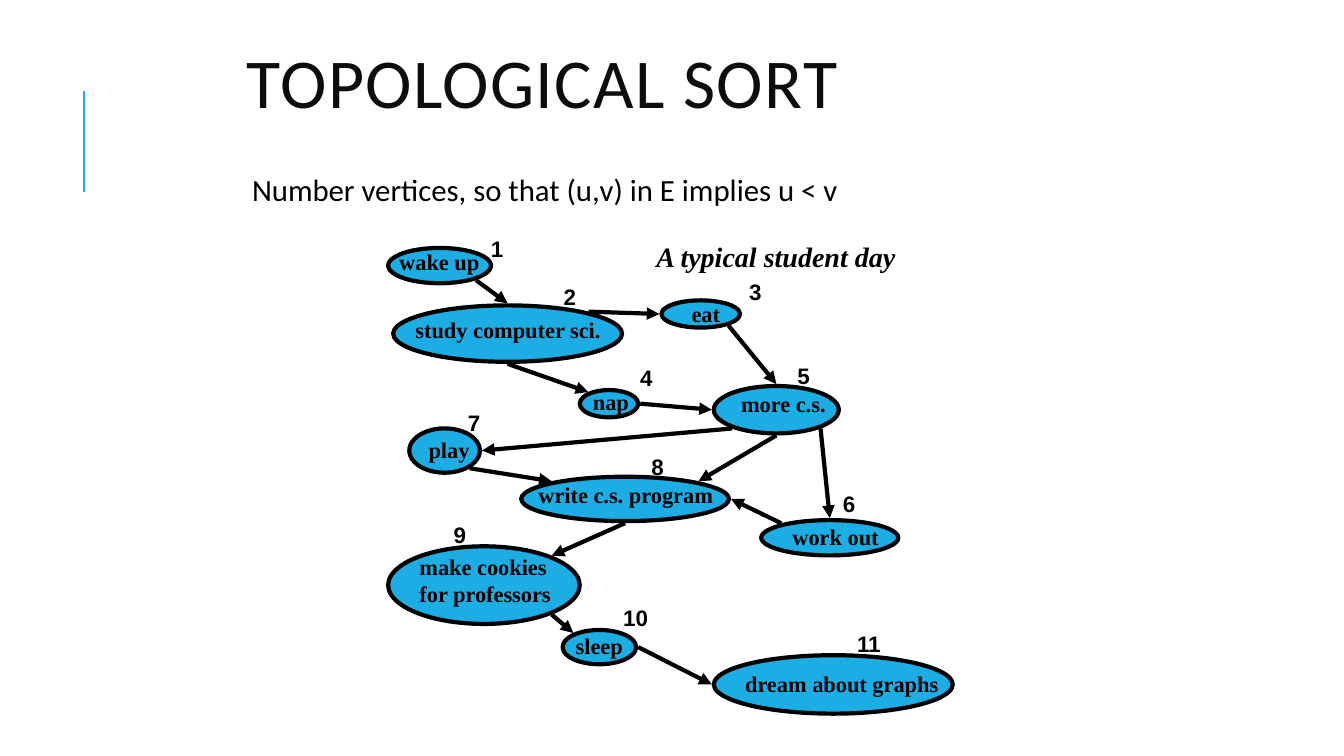
from math import sqrt

from lxml import etree
from pptx import Presentation
from pptx import util as u
from pptx.dml.color import RGBColor
from pptx.enum import shapes, text
from pptx.oxml.ns import qn

PX = 9144  # EMU per px, 100 px to the inch
COLORS = {"accent": "1CADE4", "ink": "000000", "title": "0D0D0D"}
SERIF, SANS, BODY = "Times New Roman", "Arial", "Calibri"
LINE_HEIGHT = 27
DIGIT_WIDTH = 14
ARROW_GAP = 2

# In topological order: label, oval box, label box, place of the number
ACTIVITIES = [
    ("wake up", (0, 13, 102, 35), (11, 13, 84, LINE_HEIGHT), (102, 0)),
    ("study computer sci.", (5, 70, 227, 56), (27, 81, 189, LINE_HEIGHT), (174, 48)),
    ("eat", (271, 65, 78, 27), (301, 65, 34, LINE_HEIGHT), (358, 43)),
    ("nap", (190, 154, 58, 27), (203, 152, 68, LINE_HEIGHT), (250, 128)),
    ("more c.s.", (323, 150, 124, 47), (350, 154, 89, LINE_HEIGHT), (406, 126)),
    ("work out", (370, 283, 136, 35), (401, 286, 90, LINE_HEIGHT), (451, 253)),
    ("play", (21, 192, 70, 44), (40, 200, 45, LINE_HEIGHT), (79, 173)),
    ("write c.s. program", (132, 240, 206, 44), (149, 244, 178, LINE_HEIGHT), (261, 217)),
    ("make cookies for professors", (0, 309, 190, 77), (31, 316, 152, 2 * LINE_HEIGHT), (65, 284)),
    ("sleep", (173, 392, 73, 34), (186, 394, 52, LINE_HEIGHT), (233, 366)),
    ("dream about graphs", (323, 417, 237, 58), (354, 432, 197, LINE_HEIGHT), (465, 392)),
]
# From activity and side, to activity and side
EDGES = [
    (1, "se", 2, "n"), (2, "ne", 3, "w"), (2, "s", 4, "nw"), (3, "se", 5, "n"),
    (4, "e", 5, "w"), (5, "s", 8, "ne"), (5, "sw", 7, "e"), (5, "se", 6, "n"),
    (6, "nw", 8, "e"), (7, "se", 8, "nw"), (8, "s", 9, "ne"), (9, "se", 10, "nw"),
    (10, "e", 11, "w"),
]


def px(*lengths):
    return [u.Emu(round(length * PX)) for length in lengths]


def color(name):
    return RGBColor.from_string(COLORS[name])


def shift(box, origin):
    return (box[0] + origin[0], box[1] + origin[1], *box[2:])


def add_text(slide, box, words, font, size, ink="ink", bold=False, italic=False,
             inset=(0, 0), wrap=False):
    """Add a text box with one paragraph and return its frame."""
    frame = slide.shapes.add_textbox(*px(*box)).text_frame
    frame.word_wrap = wrap
    frame.margin_left, frame.margin_top = px(*inset)
    frame.margin_right, frame.margin_bottom = px(*inset)
    frame.text = words
    style = frame.paragraphs[0].runs[0].font
    style.name, style.size = font, u.Pt(size)
    style.bold, style.italic = bold, italic
    style.color.rgb = color(ink)
    return frame


def add_line(slide, start, end, ink, width, arrow=False):
    line = slide.shapes.add_connector(shapes.MSO_CONNECTOR.STRAIGHT, *px(*start, *end))
    line.line.color.rgb = color(ink)
    line.line.width = u.Pt(width)
    if arrow:
        etree.SubElement(line.line._get_or_add_ln(), qn("a:tailEnd"), type="triangle")
    etree.SubElement(line._element.spPr, qn("a:effectLst"))


def rim_point(oval, side):
    """Point just outside an oval at one of its eight compass sides."""
    left, top, width, height = oval
    across = ("e" in side) - ("w" in side)
    down = ("s" in side) - ("n" in side)
    reach = 0.5 / sqrt(len(side))
    x = left + width / 2 + across * width * reach
    y = top + height / 2 + down * height * reach + down * ARROW_GAP
    return (x if down else x + across * ARROW_GAP), y


def add_oval(slide, box):
    oval = slide.shapes.add_shape(shapes.MSO_SHAPE.OVAL, *px(*box))
    oval.shadow.inherit = False
    oval.fill.solid()
    oval.fill.fore_color.rgb = color("accent")
    oval.line.color.rgb = color("ink")
    oval.line.width = u.Pt(3)


def add_heading(slide, box):
    left, top, width, height = box
    add_line(slide, (left, top + 165), (left, top + 65), "accent", 1.5)
    title = add_text(slide, (left + 152, top, width - 152, height), "TOPOLOGICAL SORT",
                     BODY, 50, ink="title", inset=(10, 5), wrap=True)
    title.vertical_anchor = text.MSO_ANCHOR.MIDDLE
    heading = title.paragraphs[0]
    heading.line_spacing = 0.8
    heading.runs[0].font._element.set("spc", "100")


def add_rule(slide, box):
    """Place the sentence that states how vertices are numbered."""
    frame = add_text(slide, box, "Number vertices, so that (u,v) in E implies u < v",
                     BODY, 22, inset=(5, 5), wrap=True)
    sentence = frame.paragraphs[0]
    sentence.line_spacing = 0.9
    sentence.space_before, sentence.space_after = u.Pt(12), u.Pt(2)
    sentence._p.get_or_add_pPr().set("marL", str(10 * PX))


def add_graph(slide, box):
    origin = box[:2]
    ovals = [shift(oval, origin) for _, oval, _, _ in ACTIVITIES]
    for oval in ovals:
        add_oval(slide, oval)
    for source, source_side, target, target_side in EDGES:
        add_line(slide, rim_point(ovals[source - 1], source_side),
                 rim_point(ovals[target - 1], target_side), "ink", 3, arrow=True)
    add_text(slide, shift((266, 5, 242, 33), origin), "A typical student day",
             SERIF, 20, bold=True, italic=True)
    for number, (label, _, label_box, number_at) in enumerate(ACTIVITIES, 1):
        add_text(slide, shift(label_box, origin), label, SERIF, 16, bold=True,
                 wrap=label_box[3] > LINE_HEIGHT)
        digits = str(number)
        number_box = (*number_at, DIGIT_WIDTH * len(digits), LINE_HEIGHT)
        add_text(slide, shift(number_box, origin), digits, SANS, 16, bold=True)


def main():
    deck = Presentation()
    deck.slide_width, deck.slide_height = px(1333, 750)
    slide = deck.slides.add_slide(deck.slide_layouts[6])
    add_heading(slide, (83, 25, 1002, 125))
    add_rule(slide, (235, 169, 890, 83))
    add_graph(slide, (385, 233, 560, 475))
    deck.save("out.pptx")


if __name__ == "__main__":
    main()
